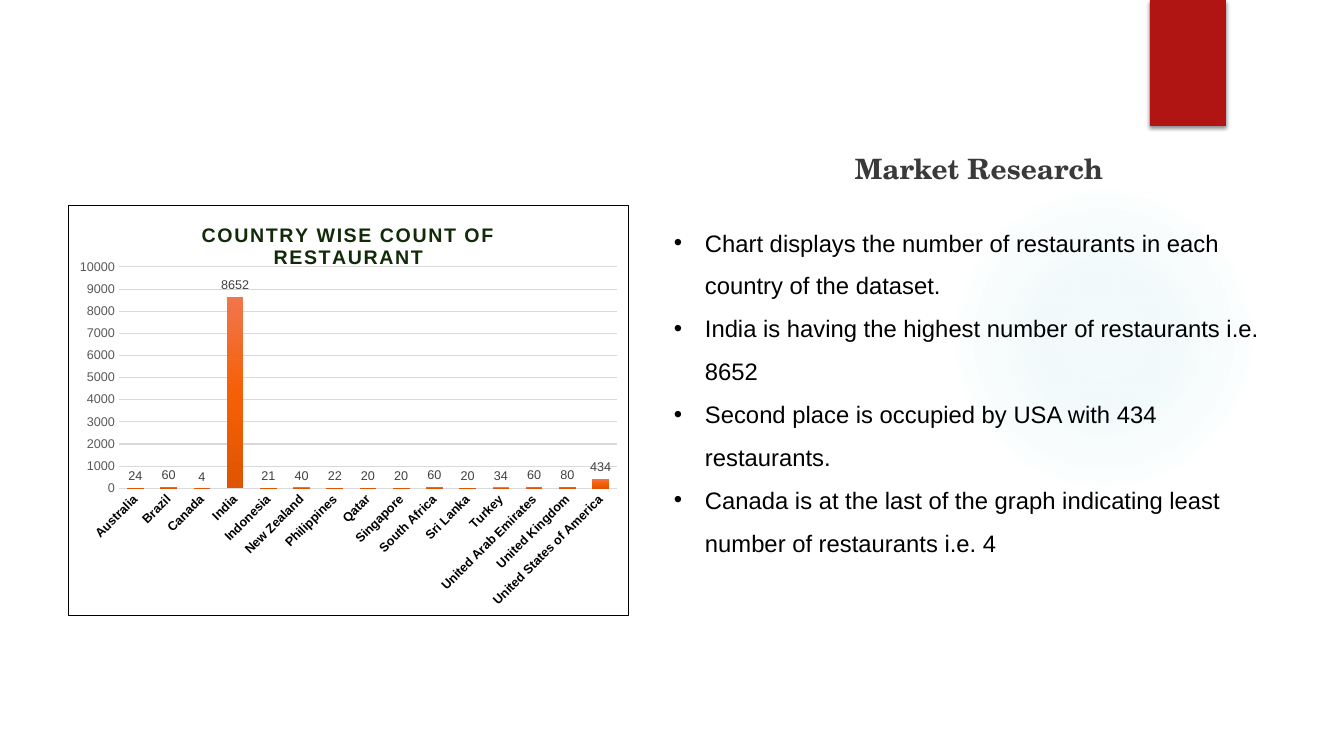
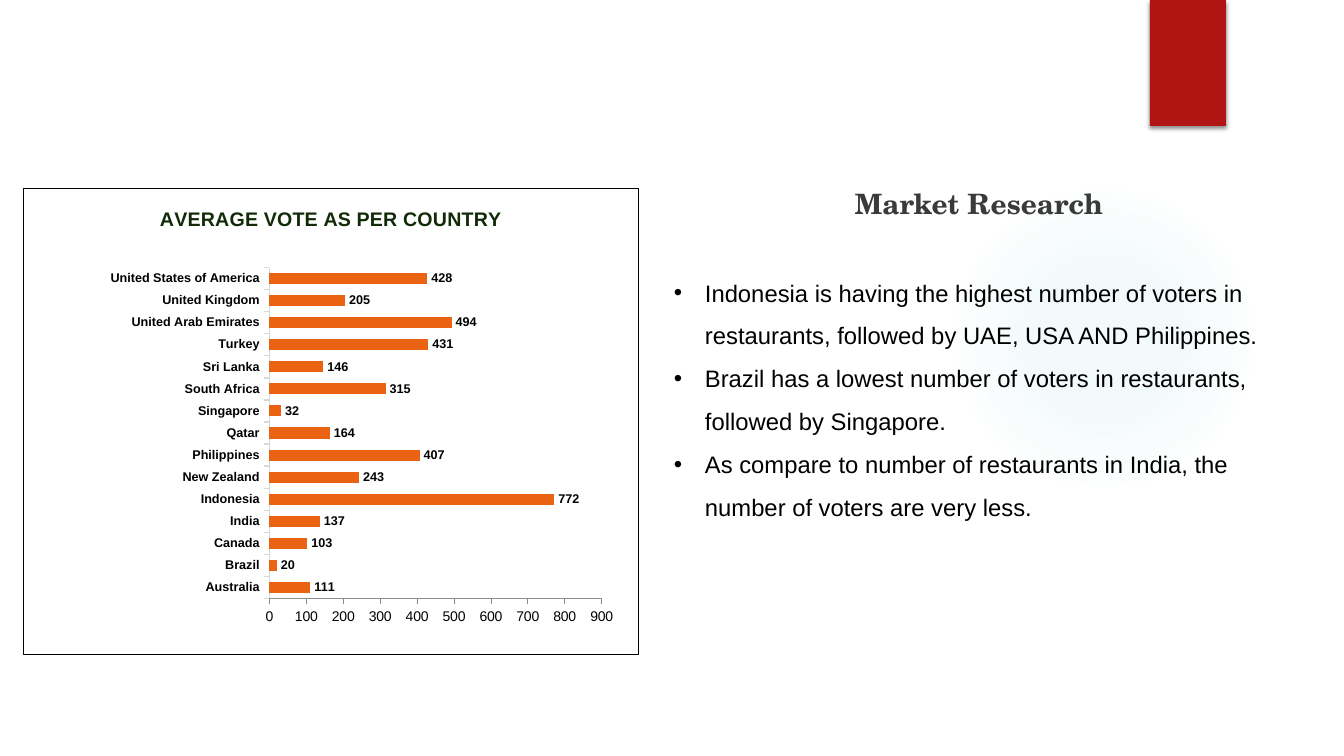
"""Build two market research slides, each with a chart and its findings."""
from pptx import Presentation
from pptx.chart.data import CategoryChartData
from pptx.dml.color import RGBColor
from pptx.enum.chart import XL_CHART_TYPE, XL_LABEL_POSITION, XL_TICK_MARK
from pptx.enum.shapes import MSO_SHAPE
from pptx.enum.text import PP_ALIGN
from pptx.oxml import parse_xml
from pptx.oxml.ns import nsdecls, qn
from pptx.util import Pt

COLUMN, BAR = XL_CHART_TYPE.COLUMN_CLUSTERED, XL_CHART_TYPE.BAR_CLUSTERED
OUTSIDE_END = XL_LABEL_POSITION.OUTSIDE_END
NO_TICK, TICK_OUT = XL_TICK_MARK.NONE, XL_TICK_MARK.OUTSIDE
RECTANGLE, OVAL = MSO_SHAPE.RECTANGLE, MSO_SHAPE.OVAL
LEFT, CENTER = PP_ALIGN.LEFT, PP_ALIGN.CENTER

PX = 914400 / 100.8
SLIDE_SIZE = (1344, 756)
COLORS = {
    "black": "000000", "white": "FFFFFF", "red": "B01513", "teal": "4CB9C3",
    "heading": "3A3A3A", "chart title": "112B08", "orange": "EA6312",
    "grid": "D9D9D9", "axis": "8C8C8C", "axis text": "595959", "label": "404040",
    "bar top": "F1764C", "bar middle": "F56007", "bar bottom": "E05400",
}
BODY_FONT, HEADING_FONT = "Arial", "TeX Gyre Schola"
TEXT_LEFT, TEXT_WIDTH, BULLET_INDENT = 664, 630, 31
GLOW_STOPS = [(0, "teal", 7), (36, "teal", 6), (69, "teal", 0), (100, "teal", 0)]
GLOW_PATH = ('<a:path {} path="circle"><a:fillToRect l="50000" t="50000" '
             'r="50000" b="50000"/></a:path>')
BAR_STOPS = [(0, "bar top", 100), (50, "bar middle", 100), (100, "bar bottom", 100)]
BAR_DIRECTION = '<a:lin {} ang="5400000" scaled="0"/>'

COUNTRIES = [
    "Australia", "Brazil", "Canada", "India", "Indonesia", "New Zealand",
    "Philippines", "Qatar", "Singapore", "South Africa", "Sri Lanka", "Turkey",
    "United Arab Emirates", "United Kingdom", "United States of America",
]
SLIDES = [
    {
        "heading": "Market Research", "heading_top": 147, "body_top": 209,
        "body": [
            "Chart displays the number of restaurants in each country of the dataset.",
            "India is having the highest number of restaurants i.e. 8652",
            "Second place is occupied by USA with 434 restaurants.",
            "Canada is at the last of the graph indicating least number of restaurants i.e. 4",
        ],
        "chart": {
            "kind": COLUMN, "box": (68, 205, 561, 411), "border": 0.75,
            "title": "COUNTRY WISE COUNT OF RESTAURANT", "spacing": 100,
            "values": [24, 60, 4, 8652, 21, 40, 22, 20, 20, 60, 20, 34, 60, 80, 434],
            "plot": (0.09, 0.15, 0.89, 0.54), "gap": 100, "overlap": -24,
            "gradient": True, "grid": True, "tick": NO_TICK, "rotation": -45,
            "value_font": {"size": 9, "color": "axis text"},
            "label_font": {"size": 9, "color": "label"},
        },
    },
    {
        "heading": "Market Research", "heading_top": 182, "body_top": 259,
        "body": [
            "Indonesia is having the highest number of voters in restaurants, "
            "followed by UAE, USA AND Philippines.",
            "Brazil has a lowest number of voters in restaurants, followed by Singapore.",
            "As compare to number of restaurants in India, the number of voters are very less.",
        ],
        "chart": {
            "kind": BAR, "box": (23, 188, 616, 467), "border": 0.5,
            "title": "AVERAGE VOTE AS PER COUNTRY", "spacing": 0,
            "values": [111, 20, 103, 137, 772, 243, 407, 164, 32, 315, 146, 431, 494, 205, 428],
            "plot": (0.4, 0.17, 0.54, 0.71), "gap": 101, "overlap": 0,
            "gradient": False, "grid": False, "tick": TICK_OUT, "rotation": 0,
            "value_font": {"size": 10},
            "label_font": {"size": 9, "bold": True},
        },
    },
]


def emu(*lengths):
    return [round(length * PX) for length in lengths]


def rgb(name):
    return RGBColor.from_string(COLORS[name])


def set_font(font, size, color="black", bold=False, name=BODY_FONT):
    font.size, font.bold, font.name = Pt(size), bold, name
    font.color.rgb = rgb(color)


def set_gradient(owner, fill, stops, direction):
    fill.gradient()
    gradient = owner.find(".//" + qn("a:gradFill"))
    for child in list(gradient):
        gradient.remove(child)
    stop_xml = "".join(
        f'<a:gs pos="{position * 1000}"><a:srgbClr val="{COLORS[color]}">'
        f'<a:alpha val="{opacity * 1000}"/></a:srgbClr></a:gs>'
        for position, color, opacity in stops)
    gradient.append(parse_xml(f'<a:gsLst {nsdecls("a")}>{stop_xml}</a:gsLst>'))
    gradient.append(parse_xml(direction.format(nsdecls("a"))))


def add_decoration(slide):
    glow = slide.shapes.add_shape(OVAL, *emu(949, 184, 310, 310))
    set_gradient(glow.element, glow.fill, GLOW_STOPS, GLOW_PATH)
    tab = slide.shapes.add_shape(RECTANGLE, *emu(1150, 0, 76, 126))
    tab.fill.solid()
    tab.fill.fore_color.rgb = rgb("red")
    for shape in (glow, tab):
        shape.line.fill.background()
        shape.shadow.inherit = False
    tab.element.find(".//" + qn("a:effectLst")).append(parse_xml(
        f'<a:outerShdw {nsdecls("a")} blurRad="{Pt(3)}" dist="{Pt(2)}" dir="5400000" '
        f'rotWithShape="0"><a:srgbClr val="{COLORS["black"]}"><a:alpha val="45000"/>'
        '</a:srgbClr></a:outerShdw>'))


def add_text(slide, paragraphs, top, height, align=LEFT, bullet=False, spacing=1.0, **font):
    box = slide.shapes.add_textbox(*emu(TEXT_LEFT, top, TEXT_WIDTH, height))
    frame = box.text_frame
    frame.word_wrap = True
    for index, text in enumerate(paragraphs):
        paragraph = frame.paragraphs[0] if index == 0 else frame.add_paragraph()
        paragraph.alignment, paragraph.line_spacing = align, spacing
        if bullet:
            properties = paragraph._p.get_or_add_pPr()
            indent, = emu(BULLET_INDENT)
            properties.set("marL", str(indent))
            properties.set("indent", str(-indent))
            properties.append(parse_xml(f'<a:buFont {nsdecls("a")} typeface="{BODY_FONT}"/>'))
            properties.append(parse_xml(f'<a:buChar {nsdecls("a")} char="•"/>'))
        run = paragraph.add_run()
        run.text = text
        set_font(run.font, **font)


def format_axis(axis, tick, font, line=None):
    axis.major_tick_mark, axis.minor_tick_mark = tick, NO_TICK
    axis.has_major_gridlines = False
    set_font(axis.tick_labels.font, **font)
    if line:
        color, width = line
        axis.format.line.color.rgb = rgb(color)
        axis.format.line.width = Pt(width)
    else:
        axis.format.line.fill.background()


def set_frame(chart, plot, border):
    chart._chartSpace.find(qn("c:txPr")).addprevious(parse_xml(
        f'<c:spPr {nsdecls("c", "a")}><a:solidFill><a:srgbClr val="{COLORS["white"]}"/>'
        f'</a:solidFill><a:ln w="{Pt(border)}"><a:solidFill>'
        f'<a:srgbClr val="{COLORS["black"]}"/></a:solidFill></a:ln></c:spPr>'))
    area = chart._chartSpace.find(".//" + qn("c:plotArea"))
    for layout in area.findall(qn("c:layout")):
        area.remove(layout)
    places = "".join(f'<c:{key} val="{value}"/>' for key, value in zip("xywh", plot))
    area.insert(0, parse_xml(
        f'<c:layout {nsdecls("c")}><c:manualLayout><c:layoutTarget val="inner"/>'
        f'<c:xMode val="edge"/><c:yMode val="edge"/>{places}</c:manualLayout></c:layout>'))


def add_country_chart(slide, content):
    data = CategoryChartData()
    data.categories = COUNTRIES
    data.add_series("Series 1", content["values"])
    chart = slide.shapes.add_chart(content["kind"], *emu(*content["box"]), data).chart
    chart.has_legend = False
    set_font(chart.font, 10)
    set_frame(chart, content["plot"], content["border"])

    chart.has_title = True
    run = chart.chart_title.text_frame.paragraphs[0].add_run()
    run.text = content["title"]
    set_font(run.font, 14, "chart title", True)
    run.font._element.set("spc", str(content["spacing"]))
    chart.chart_title.include_in_layout = False

    category_axis, value_axis = chart.category_axis, chart.value_axis
    format_axis(category_axis, content["tick"], {"size": 9, "bold": True}, ("grid", 1))
    body = category_axis._element.find(qn("c:txPr")).find(qn("a:bodyPr"))
    body.set("rot", str(content["rotation"] * 60000))
    format_axis(value_axis, content["tick"], content["value_font"],
                None if content["grid"] else ("axis", 0.5))
    if content["grid"]:
        value_axis.has_major_gridlines = True
        value_axis.major_gridlines.format.line.color.rgb = rgb("grid")
        value_axis.major_gridlines.format.line.width = Pt(0.75)

    plot = chart.plots[0]
    plot.gap_width, plot.overlap = content["gap"], content["overlap"]
    plot.vary_by_categories = False
    series = plot.series[0]
    if content["gradient"]:
        set_gradient(series._element, series.format.fill, BAR_STOPS, BAR_DIRECTION)
    else:
        series.format.fill.solid()
        series.format.fill.fore_color.rgb = rgb("orange")
    plot.has_data_labels = True
    labels = plot.data_labels
    labels.show_value, labels.position = True, OUTSIDE_END
    set_font(labels.font, **content["label_font"])


def main():
    presentation = Presentation()
    presentation.slide_width, presentation.slide_height = emu(*SLIDE_SIZE)
    for content in SLIDES:
        slide = presentation.slides.add_slide(presentation.slide_layouts[6])
        add_decoration(slide)
        add_text(slide, [content["heading"]], content["heading_top"], 45, align=CENTER,
                 size=20, color="heading", bold=True, name=HEADING_FONT)
        add_text(slide, content["body"], content["body_top"], 360, bullet=True,
                 spacing=1.5, size=17)
        add_country_chart(slide, content["chart"])
    presentation.save("out.pptx")


if __name__ == "__main__":
    main()
